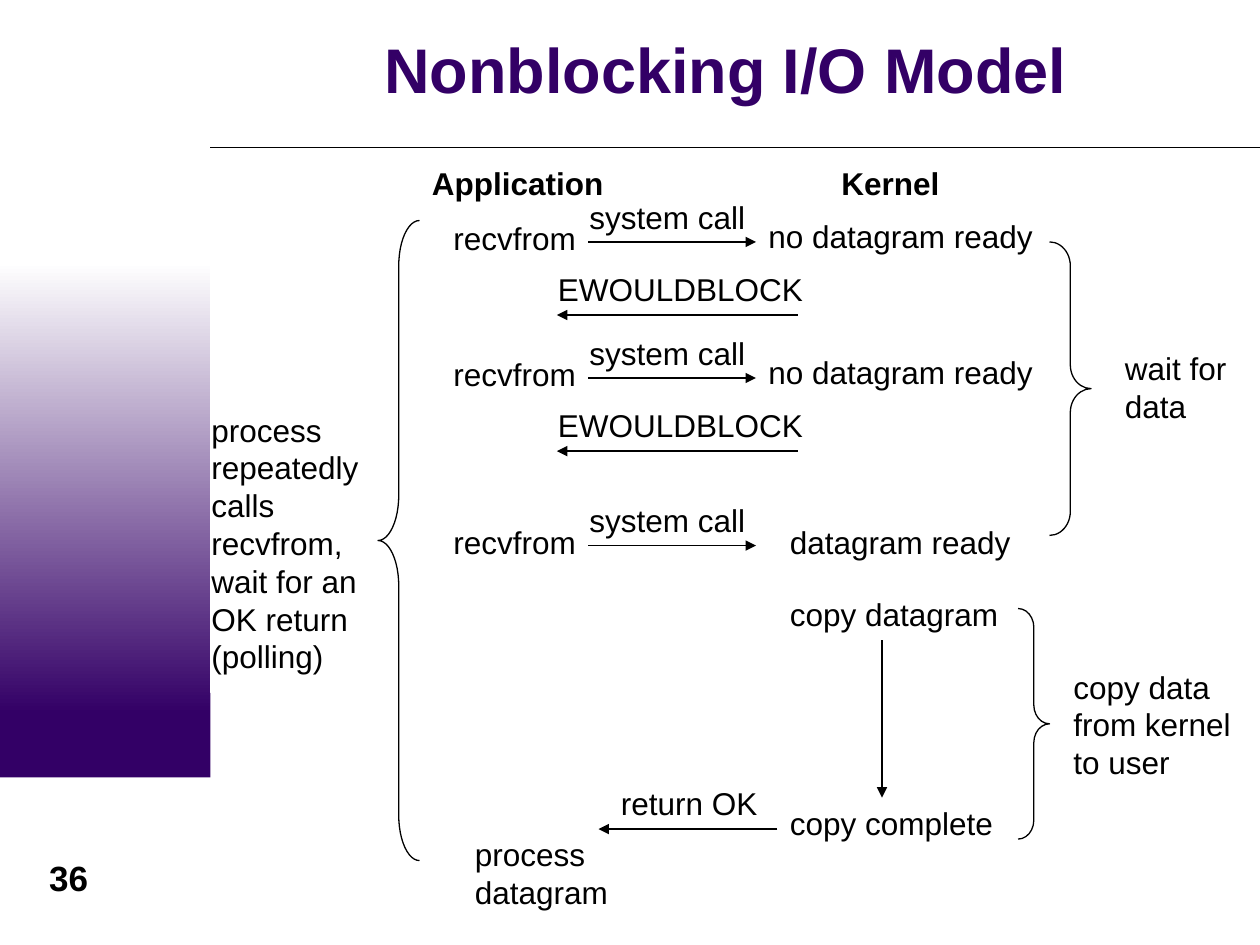
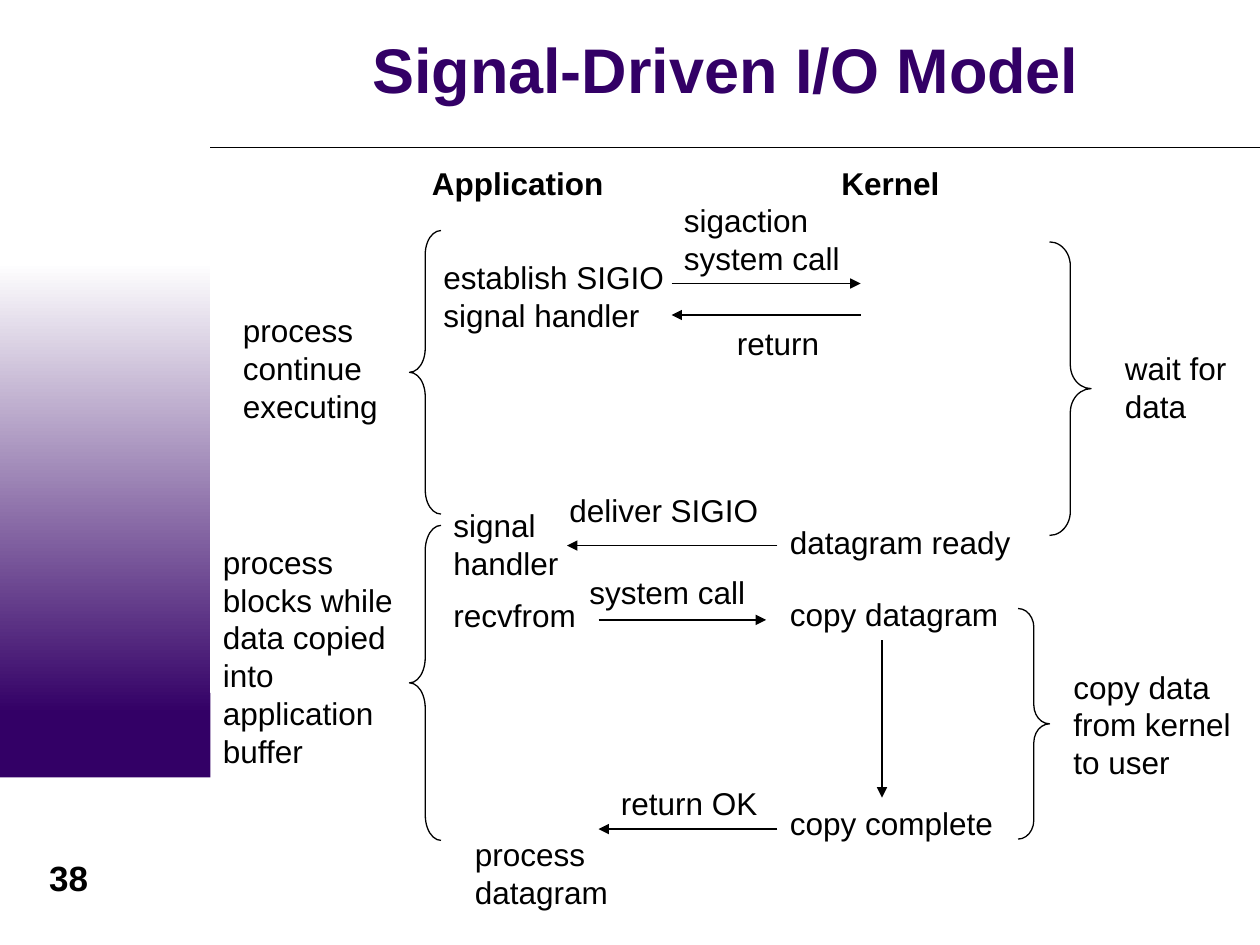
from lxml import etree
from pptx import Presentation
from pptx.dml.color import RGBColor
from pptx.enum import shapes as kinds, text as modes
from pptx.oxml import ns
from pptx.util import Inches, Pt

PURPLE = RGBColor(0x33, 0x00, 0x66)
WHITE = RGBColor(0xFF, 0xFF, 0xFF)
BLACK = RGBColor(0, 0, 0)

BODY = {"name": "Arial", "size": Pt(18), "bold": False}
HEAD = {**BODY, "bold": True}
PAGE = {**HEAD, "size": Pt(20)}
TITLE = {**HEAD, "size": Pt(36)}
LEFT = kinds.MSO_SHAPE.LEFT_BRACE
RIGHT = kinds.MSO_SHAPE.RIGHT_BRACE


def label(slide, words, x, y, wide, high=0.4, form=BODY):
    box = slide.shapes.add_textbox(*map(Inches, (x, y, wide, high)))
    box.text_frame.word_wrap = True
    para = box.text_frame.paragraphs[0]
    para.text = words
    for key, value in form.items():
        setattr(para.font, key, value)
    para.font.color.rgb = BLACK
    return para


def line(slide, x1, y1, x2, y2, arrow=True):
    link = slide.shapes.add_connector(
        kinds.MSO_CONNECTOR.STRAIGHT, *map(Inches, (x1, y1, x2, y2)))
    link.line.color.rgb = BLACK
    link.line.width = Pt(0.75)
    if arrow:
        etree.SubElement(link.line._get_or_add_ln(), ns.qn("a:tailEnd"), type="triangle")
    etree.SubElement(link._element.spPr, ns.qn("a:effectLst"))


# Parts of the diagram that both models share
texts = [
    ("process datagram", 3.67, 6.58, 1.75, 0.7),
    ("return OK", 4.83, 6.17, 1.75),
    ("datagram ready", 6.17, 4.1, 2.08),
    ("copy datagram", 6.17, 4.67, 2),
    ("copy complete", 6.17, 6.33, 2),
    ("copy data from kernel to user", 8.42, 5.25, 1.58, 1),
    ("wait for data", 8.83, 2.72, 1.08, 0.7),
]
arrows = [(6.17, 6.58, 4.75, 6.58), (7, 5.08, 7, 6.33)]
braces = [(RIGHT, 8.33, 1.92, 0.33, 2.33, 0.19), (RIGHT, 8.08, 4.83, 0.25, 1.83, 0.15)]

# Nonblocking: three calls, the first two of which fail at once
polls = [("process repeatedly calls recvfrom, wait for an OK return (polling)",
          1.58, 3.21, 1.5, 2.2)]
steps = []
for y, ready in (1.92, False), (3, False), (4.33, True):
    polls += [("recvfrom", 3.5, y - 0.23, 1.42), ("system call", 4.58, y - 0.4, 1.83)]
    steps.append((4.67, y, 6, y))
    if not ready:
        polls += [("no datagram ready", 6, y - 0.25, 2.5),
                  ("EWOULDBLOCK", 4.33, y + 0.17, 2.33)]
        steps.append((6.33, y + 0.58, 4.42, y + 0.58))

# Signal-driven: install a handler, then read when the signal comes
signals = [
    ("process continue executing", 1.83, 2.42, 1.42, 1),
    ("establish SIGIO signal handler", 3.42, 2, 2.08, 0.7),
    ("sigaction system call", 5.33, 1.55, 1.83, 0.7),
    ("return", 5.75, 2.52, 1.17),
    ("signal handler", 3.5, 3.97, 1.08, 0.7),
    ("deliver SIGIO", 4.42, 3.85, 2.33),
    ("recvfrom", 3.5, 4.68, 1.42),
    ("system call", 4.58, 4.5, 1.83),
    ("process blocks while data copied into application buffer", 1.67, 4.26, 1.75, 1.9),
]
moves = [(5.33, 2.25, 6.83, 2.25), (6.83, 2.5, 5.33, 2.5),
         (6.17, 4.33, 4.5, 4.33), (4.75, 4.92, 6.08, 4.92)]

models = [
    ("Nonblocking I/O Model", "36", polls, steps,
     [(LEFT, 3, 1.75, 0.33, 5.08, 0.36)]),
    ("Signal-Driven I/O Model", "38", signals, moves,
     [(LEFT, 3.25, 1.83, 0.25, 2.25, 0.19), (LEFT, 3.25, 4.17, 0.25, 2.5, 0.2)]),
]

deck = Presentation()
deck.slide_width, deck.slide_height = Inches(10), Inches(7.5)

for name, page, notes, paths, curves in models:
    slide = deck.slides.add_slide(deck.slide_layouts[5])

    # Side band, rule and page number
    for y, high, fade in (5.5, 0.67, False), (2.08, 3.58, True):
        band = slide.shapes.add_shape(
            kinds.MSO_SHAPE.RECTANGLE, 0, Inches(y), Inches(1.67), Inches(high))
        band.shadow.inherit = False
        band.line.fill.background()
        if fade:
            band.fill.gradient()
            band.fill.gradient_angle = 270
            for stop, tone, spot in zip(band.fill.gradient_stops, (WHITE, PURPLE), (0, 1)):
                stop.color.rgb = tone
                stop.position = spot
        else:
            band.fill.solid()
            band.fill.fore_color.rgb = PURPLE
    line(slide, 1.67, 1.17, 10, 1.17, arrow=False)
    label(slide, page, 0.17, 6.75, 0.75, 0.44, PAGE).alignment = modes.PP_ALIGN.CENTER

    title = slide.shapes.title
    place = {"left": 1.8, "top": 0.11, "width": 7.92, "height": 0.96}
    for key, value in place.items():
        setattr(title, key, Inches(value))
    frame = title.text_frame
    frame.text = name
    frame.auto_size = modes.MSO_AUTO_SIZE.NONE
    frame.vertical_anchor = modes.MSO_ANCHOR.MIDDLE
    frame.margin_top = frame.margin_bottom = 0
    para = frame.paragraphs[0]
    para.alignment = modes.PP_ALIGN.CENTER
    para.line_spacing = 0.85
    for key, value in TITLE.items():
        setattr(para.font, key, value)
    para.font.color.rgb = PURPLE

    # Diagram
    label(slide, "Application", 3.33, 1.25, 2, form=HEAD)
    label(slide, "Kernel", 6.58, 1.25, 1.42, form=HEAD)
    for item in texts + notes:
        label(slide, *item)
    for ends in arrows + paths:
        line(slide, *ends)
    for kind, x, y, wide, high, bend in braces + curves:
        brace = slide.shapes.add_shape(kind, *map(Inches, (x, y, wide, high)))
        brace.adjustments[0] = bend / wide
        brace.shadow.inherit = False
        brace.fill.background()
        brace.line.color.rgb = BLACK
        brace.line.width = Pt(0.75)

deck.save("out.pptx")
